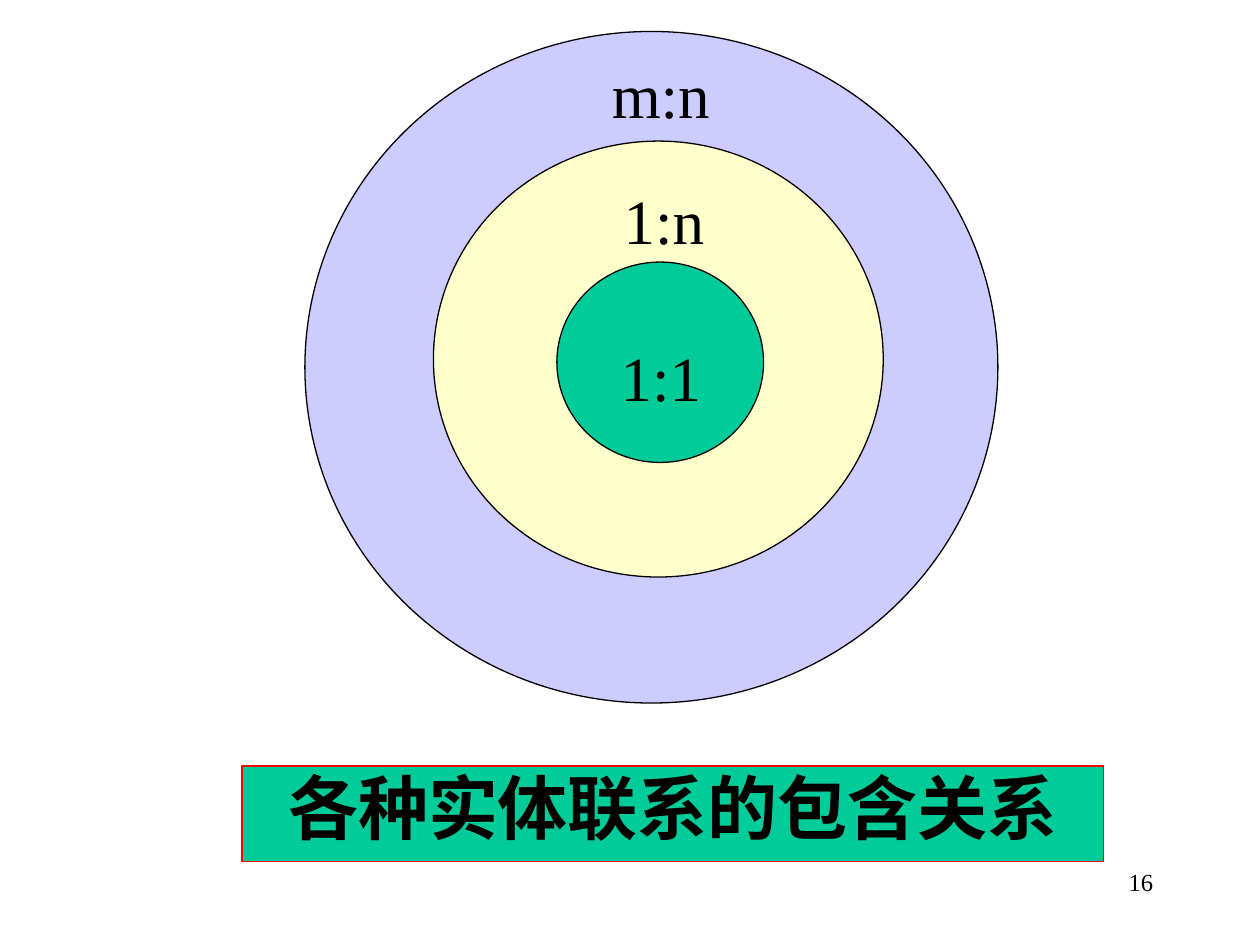
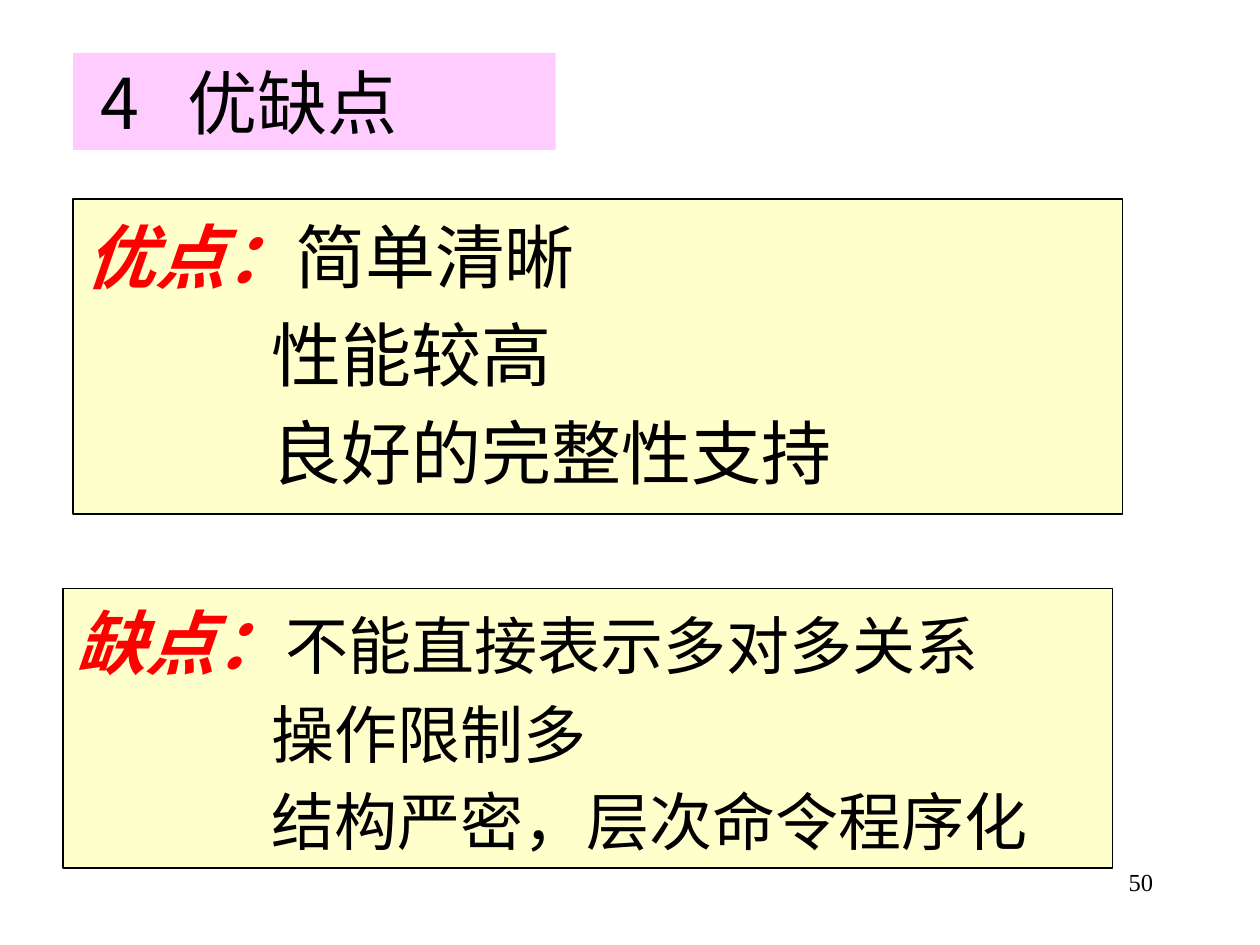
from dataclasses import dataclass

import pptx
import pptx.dml.color
import pptx.enum.shapes
import pptx.enum.text
import pptx.oxml
import pptx.oxml.ns
import pptx.util

PX = 9144  # 100 px to the inch
LATIN, HAN = "Times New Roman", "Noto Sans CJK SC"
BLACK, RED, GREEN = "000000", "FF0000", "00CC99"
CREAM, LILAC, PINK = "FFFFCC", "CCCCFF", "FFCCFF"
KINDS = pptx.enum.shapes.MSO_SHAPE
ALIGN = pptx.enum.text.PP_ALIGN
ANCHOR = pptx.enum.text.MSO_ANCHOR


@dataclass(frozen=True)
class Area:
    left: int
    top: int
    width: int
    height: int


@dataclass(frozen=True)
class Ring:
    area: Area
    fill: str
    label: str
    place: Area


@dataclass(frozen=True)
class Panel:
    area: Area
    lead: str
    points: tuple[str, ...]
    size: int
    pitch: int
    indent: int
    inset: int


RINGS = (
    Ring(Area(242, 25, 550, 533), LILAC, "m:n", Area(458, 33, 133, 70)),
    Ring(Area(344, 112, 357, 346), CREAM, "1:n", Area(467, 133, 120, 70)),
    Ring(Area(442, 208, 164, 159), GREEN, "1:1", Area(458, 258, 133, 70)),
)
PANELS = (
    Panel(Area(58, 158, 833, 250), "优点：",
          ("简单清晰", "性能较高", "良好的完整性支持"),
          size=40, pitch=56, indent=148, inset=0),
    Panel(Area(50, 467, 833, 222), "缺点：",
          ("不能直接表示多对多关系", "操作限制多", "结构严密，层次命令程序化"),
          size=36, pitch=50, indent=156, inset=6),
)


def px(count: int) -> pptx.util.Emu:
    return pptx.util.Emu(count * PX)


def tint(code: str) -> pptx.dml.color.RGBColor:
    return pptx.dml.color.RGBColor.from_string(code)


def spot(area: Area) -> tuple:
    """Turn an area into left, top, width and height in EMU."""
    return px(area.left), px(area.top), px(area.width), px(area.height)


def style(run, size: int, color: str = BLACK, face: str = LATIN,
          strong: bool = False, slant: bool = False) -> None:
    font = run.font
    font.name, font.size = face, pptx.util.Pt(size)
    font.bold, font.italic = strong, slant
    font.color.rgb = tint(color)
    # The East Asian face follows the Latin one in the run properties.
    latin = run._r.rPr.find(pptx.oxml.ns.qn("a:latin"))
    latin.addnext(pptx.oxml.parse_xml(
        f'<a:ea {pptx.oxml.ns.nsdecls("a")} typeface="{HAN}"/>'))


def frame(shape, left: int = 10, top: int = 5, foot: int = 5,
          anchor=ANCHOR.TOP):
    """Set wrapping, insets and anchor, and return the text frame."""
    text = shape.text_frame
    text.word_wrap = True
    text.margin_left, text.margin_right = px(left), px(10)
    text.margin_top, text.margin_bottom = px(top), px(foot)
    text.vertical_anchor = anchor
    return text


def block(slide, kind, area: Area, fill: str, line: str | None = BLACK):
    shape = slide.shapes.add_shape(kind, *spot(area))
    shape.shadow.inherit = False
    shape.fill.solid()
    shape.fill.fore_color.rgb = tint(fill)
    if line is None:
        shape.line.fill.background()
    else:
        shape.line.color.rgb = tint(line)
        shape.line.width = pptx.util.Pt(0.75)
    return shape


def note(slide, area: Area, words: str, size: int, align, top: int = 5) -> None:
    text = frame(slide.shapes.add_textbox(*spot(area)), top=top)
    text.text = words
    line = text.paragraphs[0]
    line.alignment = align
    style(line.runs[0], size)


def page(deck, number: int):
    """Add a blank slide with its page number."""
    slide = deck.slides.add_slide(deck.slide_layouts[6])
    note(slide, Area(717, 683, 208, 50), str(number), 14, ALIGN.RIGHT)
    return slide


def banner(slide) -> None:
    shape = block(slide, KINDS.RECTANGLE, Area(192, 608, 684, 76), GREEN, RED)
    text = frame(shape, top=0, foot=4, anchor=ANCHOR.MIDDLE)
    text.text = "各种实体联系的包含关系"
    line = text.paragraphs[0]
    line.alignment, line.line_spacing = ALIGN.CENTER, 0.9
    style(line.runs[0], 40, strong=True)


def title(slide) -> None:
    shape = block(slide, KINDS.RECTANGLE, Area(58, 42, 383, 77), PINK, None)
    text = frame(shape, left=22, top=0, foot=0, anchor=ANCHOR.MIDDLE)
    text.text = "4\t优缺点"
    line = text.paragraphs[0]
    line.alignment = ALIGN.LEFT
    line._p.get_or_add_pPr().append(pptx.oxml.parse_xml(
        f'<a:tabLst {pptx.oxml.ns.nsdecls("a")}>'
        f'<a:tab pos="{px(69)}" algn="l"/></a:tabLst>'))
    style(line.runs[0], 40, face=HAN)


def draw(slide, panel: Panel) -> None:
    """Draw a panel whose later points line up to the right of its lead."""
    shape = block(slide, KINDS.RECTANGLE, panel.area, CREAM)
    text = frame(shape, top=panel.inset)
    for rank, point in enumerate(panel.points):
        line = text.add_paragraph() if rank else text.paragraphs[0]
        line.alignment = ALIGN.LEFT
        line.line_spacing = pptx.util.Pt(panel.pitch)
        if rank:
            line._p.get_or_add_pPr().set("marL", str(px(panel.indent)))
        else:
            lead = line.add_run()
            lead.text = panel.lead
            style(lead, 40, RED, strong=True, slant=True)
        run = line.add_run()
        run.text = point
        style(run, panel.size)


def main() -> None:
    deck = pptx.Presentation()
    deck.slide_width, deck.slide_height = px(1000), px(750)

    slide = page(deck, 16)
    for ring in RINGS:
        block(slide, KINDS.OVAL, ring.area, ring.fill)
    for ring in RINGS:
        note(slide, ring.place, ring.label, 36, ALIGN.CENTER, top=11)
    banner(slide)

    slide = page(deck, 50)
    title(slide)
    for panel in PANELS:
        draw(slide, panel)

    deck.save("out.pptx")


if __name__ == "__main__":
    main()
